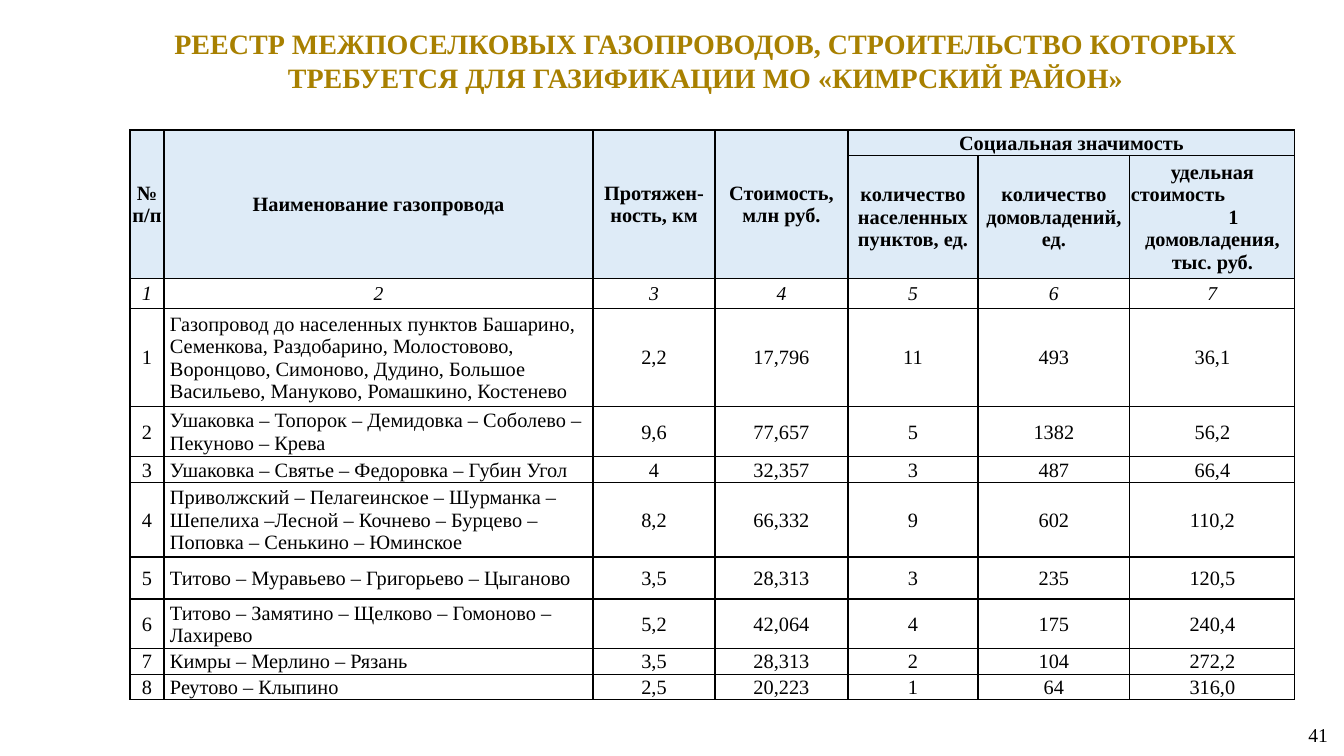
from dataclasses import dataclass

from lxml import etree
from pptx import Presentation
from pptx.dml.color import RGBColor
from pptx.enum.text import MSO_ANCHOR, PP_ALIGN
from pptx.oxml.ns import qn
from pptx.util import Pt

CENTER, LEFT, RIGHT = PP_ALIGN.CENTER, PP_ALIGN.LEFT, PP_ALIGN.RIGHT
TOP, MIDDLE = MSO_ANCHOR.TOP, MSO_ANCHOR.MIDDLE

EMU_PER_PX = 914400 / 100.8
FONT = "Times New Roman"
COLORS = {"text": "000000", "title": "A88000", "header": "DEEBF7", "border": "000000"}

COLUMN_WIDTHS = [34, 429, 122, 133, 130, 152, 165]
ROW_HEIGHTS = [25, 123, 30, 98, 50, 26, 74, 42, 50, 25, 25]
FIRST_PIPELINE_ROW = 3


@dataclass
class HeaderCell:
    row: int
    column: int
    text: str
    row_span: int = 1
    column_span: int = 1


@dataclass
class Pipeline:
    route: str
    length: str
    cost: str
    settlements: str
    households: str
    unit_cost: str


HEADERS = [
    HeaderCell(0, 0, "№ п/п", row_span=2),
    HeaderCell(0, 1, "Наименование газопровода", row_span=2),
    HeaderCell(0, 2, "Протяжен-ность, км", row_span=2),
    HeaderCell(0, 3, "Стоимость, млн руб.", row_span=2),
    HeaderCell(0, 4, "Социальная значимость", column_span=3),
    HeaderCell(1, 4, "количество населенных пунктов, ед."),
    HeaderCell(1, 5, "количество\nдомовладений, ед."),
    HeaderCell(1, 6, "удельная\nстоимость\n1\nдомовладения, тыс. руб."),
]

PIPELINES = [
    Pipeline("Газопровод до населенных пунктов Башарино,\nСеменкова, Раздобарино, Молостовово,\n"
             "Воронцово, Симоново, Дудино, Большое\nВасильево, Мануково, Ромашкино, Костенево",
             "2,2", "17,796", "11", "493", "36,1"),
    Pipeline("Ушаковка – Топорок – Демидовка – Соболево –\nПекуново – Крева",
             "9,6", "77,657", "5", "1382", "56,2"),
    Pipeline("Ушаковка – Святье – Федоровка – Губин Угол",
             "4", "32,357", "3", "487", "66,4"),
    Pipeline("Приволжский – Пелагеинское – Шурманка –\nШепелиха –Лесной – Кочнево – Бурцево –\n"
             "Поповка – Сенькино – Юминское",
             "8,2", "66,332", "9", "602", "110,2"),
    Pipeline("Титово – Муравьево – Григорьево – Цыганово",
             "3,5", "28,313", "3", "235", "120,5"),
    Pipeline("Титово – Замятино – Щелково – Гомоново –\nЛахирево",
             "5,2", "42,064", "4", "175", "240,4"),
    Pipeline("Кимры – Мерлино – Рязань", "3,5", "28,313", "2", "104", "272,2"),
    Pipeline("Реутово – Клыпино", "2,5", "20,223", "1", "64", "316,0"),
]


def px(length: int) -> int:
    return round(length * EMU_PER_PX)


def write_text(frame, text: str, *, size: float = 14.5, color: str = "text",
               align=CENTER, bold: bool = False, italic: bool = False) -> None:
    """Write one paragraph per line of text."""
    for index, line in enumerate(text.split("\n")):
        paragraph = frame.add_paragraph() if index else frame.paragraphs[0]
        paragraph.alignment = align
        run = paragraph.add_run()
        run.text = line
        font = run.font
        font.name, font.size = FONT, Pt(size)
        font.bold, font.italic = bold, italic
        font.color.rgb = RGBColor.from_string(COLORS[color])


def add_text_box(slide, left: int, top: int, width: int, height: int, text: str,
                 *, anchor=TOP, **text_format) -> None:
    frame = slide.shapes.add_textbox(px(left), px(top), px(width), px(height)).text_frame
    frame.word_wrap = True
    frame.vertical_anchor = anchor
    write_text(frame, text, **text_format)


def style_cell(cell, is_header: bool) -> None:
    cell.vertical_anchor = MIDDLE
    cell.margin_left = cell.margin_right = cell.margin_top = px(1)
    cell.margin_bottom = 0
    properties = cell._tc.get_or_add_tcPr()
    for side in ("lnL", "lnR", "lnT", "lnB"):
        line = etree.SubElement(properties, qn(f"a:{side}"), w=str(Pt(1)))
        fill = etree.SubElement(line, qn("a:solidFill"))
        etree.SubElement(fill, qn("a:srgbClr"), val=COLORS["border"])
    if is_header:
        cell.fill.solid()
        cell.fill.fore_color.rgb = RGBColor.from_string(COLORS["header"])
    else:
        cell.fill.background()


def fill_header(table) -> None:
    for header in HEADERS:
        cell = table.cell(header.row, header.column)
        if header.row_span > 1 or header.column_span > 1:
            cell.merge(table.cell(header.row + header.row_span - 1,
                                  header.column + header.column_span - 1))
        write_text(cell.text_frame, header.text, bold=True)

    # Staggered lines of the unit cost heading
    paragraphs = table.cell(1, 6).text_frame.paragraphs
    paragraphs[1].alignment = LEFT
    paragraphs[2]._p.get_or_add_pPr().set("marL", str(px(42)))

    # Column numbers
    for column in range(len(COLUMN_WIDTHS)):
        write_text(table.cell(2, column).text_frame, str(column + 1),
                   size=14 if column else 14.5, italic=True)


def fill_pipelines(table) -> None:
    for number, pipeline in enumerate(PIPELINES, start=1):
        row = FIRST_PIPELINE_ROW + number - 1
        values = [str(number), pipeline.route, pipeline.length, pipeline.cost,
                  pipeline.settlements, pipeline.households, pipeline.unit_cost]
        for column, value in enumerate(values):
            cell = table.cell(row, column)
            write_text(cell.text_frame, value, align=LEFT if column == 1 else CENTER)
        table.cell(row, 1).margin_left = px(6)


def add_register(slide) -> None:
    table = slide.shapes.add_table(len(ROW_HEIGHTS), len(COLUMN_WIDTHS), px(130), px(130),
                                   px(sum(COLUMN_WIDTHS)), px(sum(ROW_HEIGHTS))).table
    table.first_row = table.horz_banding = False
    for column, width in zip(table.columns, COLUMN_WIDTHS):
        column.width = px(width)
    for index, (row, height) in enumerate(zip(table.rows, ROW_HEIGHTS)):
        row.height = px(height)
        for cell in row.cells:
            style_cell(cell, is_header=index < 2)
    fill_header(table)
    fill_pipelines(table)


def main() -> None:
    presentation = Presentation()
    presentation.slide_width, presentation.slide_height = px(1344), px(756)
    slide = presentation.slides.add_slide(presentation.slide_layouts[6])

    # Page number
    add_text_box(slide, 1065, 704, 273, 61, "41", anchor=MIDDLE, size=14, align=RIGHT)
    # Title
    add_text_box(slide, 113, 22, 1185, 78,
                 "РЕЕСТР МЕЖПОСЕЛКОВЫХ ГАЗОПРОВОДОВ, СТРОИТЕЛЬСТВО КОТОРЫХ "
                 "ТРЕБУЕТСЯ ДЛЯ ГАЗИФИКАЦИИ МО «КИМРСКИЙ РАЙОН»",
                 size=20, color="title", bold=True)
    # Register of pipelines
    add_register(slide)

    presentation.save("out.pptx")


if __name__ == "__main__":
    main()
